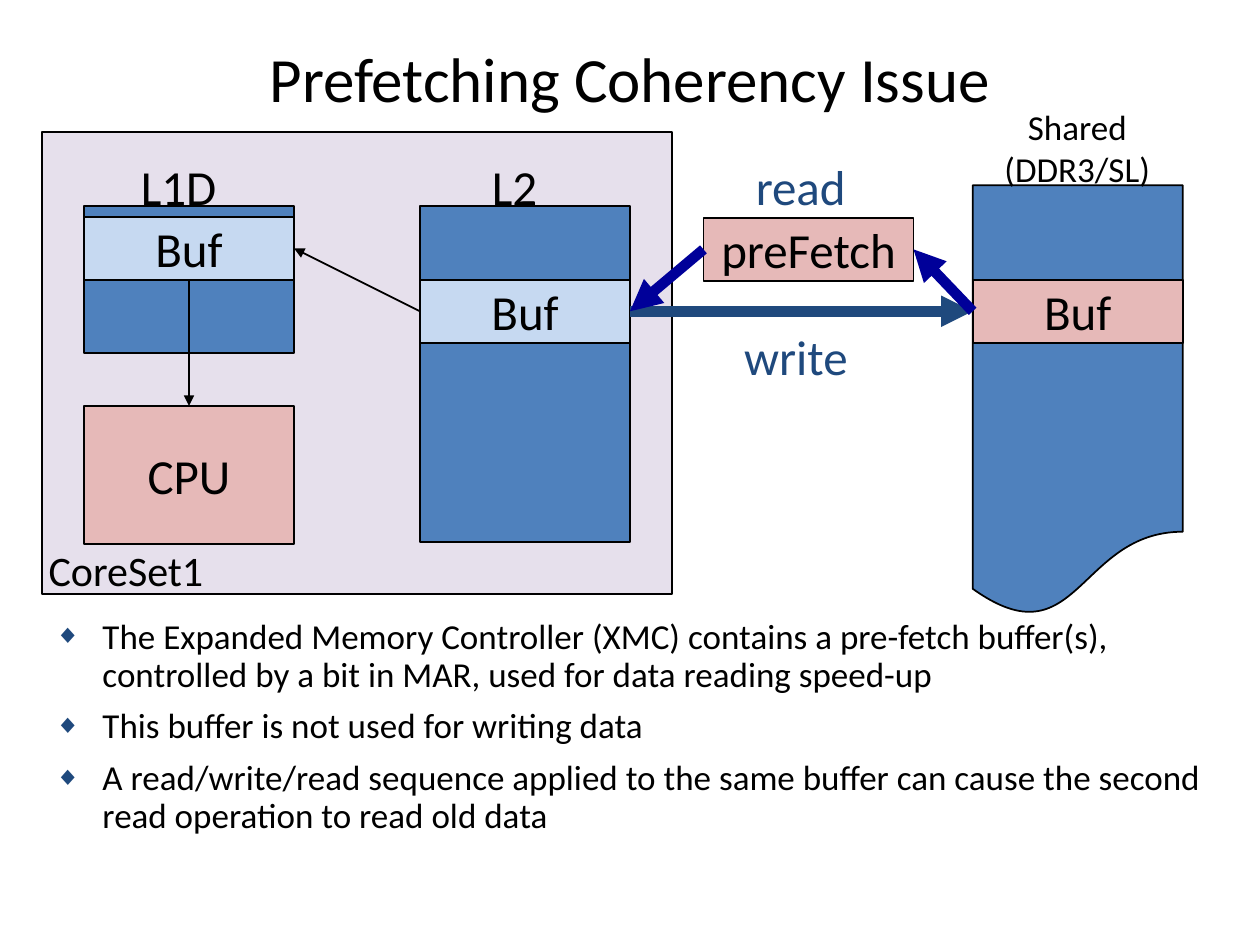
from dataclasses import dataclass

from lxml import etree
from pptx import Presentation
from pptx import util as u
from pptx.dml.color import RGBColor
from pptx.enum import shapes, text
from pptx.oxml import ns


@dataclass(frozen=True)
class Theme:
    font: str = "Calibri"
    ink: str = "000000"
    blue: str = "4F81BD"
    pale_blue: str = "C6D9F1"
    navy: str = "1F497D"
    read_blue: str = "000099"
    pink: str = "E6B9B8"
    lilac: str = "E6E0EC"
    title: int = 36
    label: int = 28
    caption: int = 24
    body: int = 20
    thin: int = 1
    thick: int = 6


THEME = Theme()
CELL = u.Inches(1) // 12  # grid of 120 columns by 90 rows
CENTER = text.PP_ALIGN.CENTER
LEFT = text.PP_ALIGN.LEFT
MIDDLE = text.MSO_ANCHOR.MIDDLE
TOP = text.MSO_ANCHOR.TOP


def cells(*lengths):
    return [round(n * CELL) for n in lengths]


def add_child(parent, tag, **attrs):
    child = etree.SubElement(parent, ns.qn(tag))
    for name, value in attrs.items():
        child.set(name, str(value))
    return child


def write(tf, content, size=THEME.label, color=THEME.ink, align=CENTER,
          anchor=MIDDLE, wrap=False):
    """Write one paragraph per line of content; \\v breaks a line."""
    tf.auto_size = text.MSO_AUTO_SIZE.NONE
    tf.word_wrap = wrap
    tf.vertical_anchor = anchor
    for i, line in enumerate(content.split("\n")):
        p = tf.paragraphs[0] if i == 0 else tf.add_paragraph()
        p.text = line
        p.alignment = align
        for r in p.runs:
            r.font.name = THEME.font
            r.font.size = u.Pt(size)
            r.font.color.rgb = RGBColor.from_string(color)


class Diagram:
    def __init__(self, prs, theme):
        self.theme = theme
        self.s = prs.slides.add_slide(prs.slide_layouts[1])

    def place(self, sp, at):
        sp.left, sp.top, sp.width, sp.height = cells(*at)

    def title(self, content, at):
        sp = self.s.shapes.title
        self.place(sp, at)
        write(sp.text_frame, content, size=self.theme.title, wrap=True)

    def bullets(self, items, at):
        sp = self.s.placeholders[1]
        self.place(sp, at)
        write(sp.text_frame, "\n".join(items), size=self.theme.body,
              align=LEFT, anchor=TOP, wrap=True)
        indent = u.Inches(0.38)
        for i, p in enumerate(sp.text_frame.paragraphs):
            p.line_spacing = 0.9
            p.space_before = u.Pt(0.4 * self.theme.body if i else 0)
            pPr = p._p.get_or_add_pPr()
            pPr.set("marL", str(indent))
            pPr.set("indent", str(-indent))
            add_child(add_child(pPr, "a:buClr"), "a:srgbClr", val=self.theme.navy)
            add_child(pPr, "a:buSzPct", val=75000)
            add_child(pPr, "a:buChar", char="◆")
            add_child(add_child(pPr, "a:tabLst"), "a:tab",
                      pos=u.Inches(0.75), algn="l")

    def box(self, at, fill, content="", kind=shapes.MSO_SHAPE.RECTANGLE):
        sp = self.s.shapes.add_shape(kind, *cells(*at))
        sp.shadow.inherit = False
        sp.fill.solid()
        sp.fill.fore_color.rgb = RGBColor.from_string(fill)
        sp.line.color.rgb = RGBColor.from_string(self.theme.ink)
        sp.line.width = u.Pt(self.theme.thin)
        if content:
            write(sp.text_frame, content)
        return sp

    def label(self, at, content, **style):
        sp = self.s.shapes.add_textbox(*cells(*at))
        write(sp.text_frame, content, **style)

    def arrow(self, start, start_side, end, end_side, color, width):
        line = self.s.shapes.add_connector(shapes.MSO_CONNECTOR.STRAIGHT, 0, 0, 0, 0)
        line.begin_connect(start, start_side)
        line.end_connect(end, end_side)
        line.line.color.rgb = RGBColor.from_string(color)
        line.line.width = u.Pt(width)
        add_child(line.line._get_or_add_ln(), "a:tailEnd", type="triangle")
        add_child(line._element.spPr, "a:effectLst")


def main():
    prs = Presentation()
    prs.slide_width, prs.slide_height = cells(120, 90)
    t = THEME
    d = Diagram(prs, t)

    # Title and explanation
    d.title("Prefetching Coherency Issue", (6, 3.6, 108, 7.44))
    d.bullets([
        "The Expanded Memory Controller (XMC) contains a pre-fetch buffer(s), "
        "controlled by a bit in MAR, used for data reading speed-up",
        "This buffer is not used for writing data",
        "A read/write/read sequence applied to the same buffer can cause the "
        "second read operation to read old data",
    ], (4, 58.35, 116, 22.6))

    # Memories and processor
    l1_x, l2_x, fetch_x, shared_x = 8, 40, 67, 92.64
    wide, buf_h, buf_y = 20, 6, 26.65
    d.box((shared_x, 17.65, wide, 41.15), t.blue,
          kind=shapes.MSO_SHAPE.FLOWCHART_DOCUMENT)
    d.box((4, 12.6, 60, 44), t.lilac)
    d.box((l2_x, 19.65, wide, 32), t.blue)
    d.box((l1_x, 19.65, wide, 14), t.blue)
    cpu = d.box((l1_x, 38.65, wide, 13.2), t.pink, "CPU")

    # Buffers
    shared_buf = d.box((shared_x, buf_y, wide, buf_h), t.pink, "Buf")
    l1_buf = d.box((l1_x, buf_y - buf_h, wide, buf_h), t.pale_blue, "Buf")
    l2_buf = d.box((l2_x, buf_y, wide, buf_h), t.pale_blue, "Buf")
    prefetch = d.box((fetch_x, 20.75, wide, buf_h), t.pink, "preFetch")

    # Data paths
    for start, start_side, end, end_side, color, width in (
        (l2_buf, 1, l1_buf, 3, t.ink, t.thin),
        (l1_buf, 2, cpu, 0, t.ink, t.thin),
        (l2_buf, 3, shared_buf, 1, t.navy, t.thick),
        (shared_buf, 1, prefetch, 3, t.read_blue, t.thick),
        (prefetch, 1, l2_buf, 3, t.read_blue, t.thick),
    ):
        d.arrow(start, start_side, end, end_side, color, width)

    # Labels
    d.label((l1_x + 2, 14.4, 14, 6.6), "L1D")
    d.label((l2_x + 2, 14.4, 14, 6.6), "L2")
    d.label((88.3, 10.7, 28.6, 6.6), "Shared\v(DDR3/SL)", size=t.body, wrap=True)
    d.label((5, 52, 14, 4.6), "CoreSet1", size=t.caption)
    d.label((70.8, 14.3, 11.3, 6.84), "read", color=t.navy, align=LEFT, anchor=TOP)
    d.label((69.7, 30.5, 12.7, 6.84), "write", color=t.navy, align=LEFT, anchor=TOP)

    prs.save("out.pptx")


if __name__ == "__main__":
    main()
